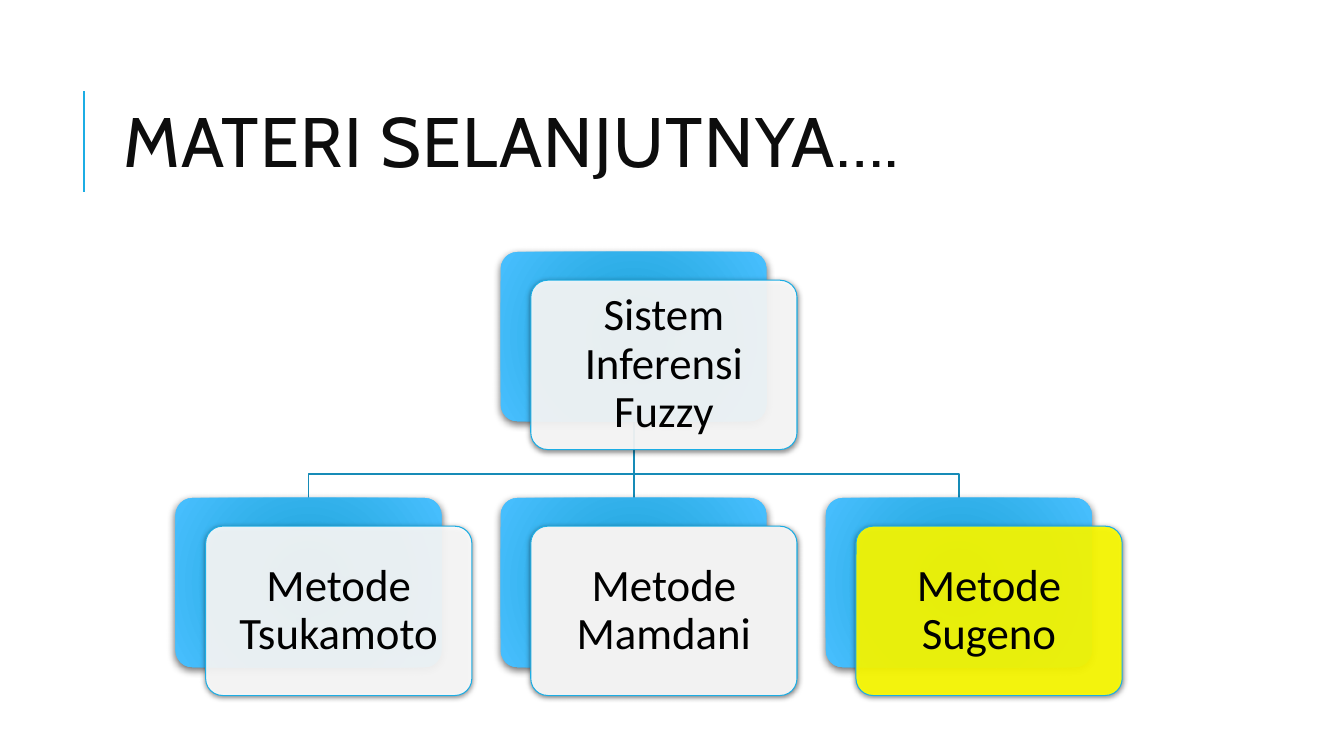
from pptx import Presentation
from pptx import util as u
from pptx.dml.color import RGBColor
from pptx.enum import shapes, text
from pptx.oxml import parse_xml
from pptx.oxml.ns import nsdecls, qn

COLOURS = {
    "accent": "1CADE4", "tree": "168BB7", "title": "0D0D0D", "text": "000000",
    "plain": "FFFFFF", "grey": "F2F2F2", "highlight": "FFFF00",
    "centre": "1AA1D4", "rim": "48BFFF", "shadow": "000000",
}
BOX_WIDTH, BOX_HEIGHT = 2.64, 1.68
CARD_SHIFT_X, CARD_SHIFT_Y = 0.3, 0.28
FIRST_LEFT, LAST_LEFT = 1.74, 8.19
ROOT_TOP, METHOD_TOP, BRANCH_Y = 2.5, 4.94, 4.7
METHODS = [
    ("Metode Tsukamoto", "plain", 90),
    ("Metode Mamdani", "grey", 100),
    ("Metode Sugeno", "highlight", 90),
]


def colour(name):
    return RGBColor.from_string(COLOURS[name])


def apply_format(target, values):
    for name, value in values.items():
        setattr(target, name, value)


def style_line(shape, name, width):
    shape.line.color.rgb = colour(name)
    shape.line.width = u.Pt(width)


def clear_effects(connector):
    connector.element.spPr.append(parse_xml(f"<a:effectLst {nsdecls('a')}/>"))


def add_shadow(shape, opacity, blur, distance):
    """Give the shape a soft shadow straight below it; lengths in points."""
    shape.shadow.inherit = False
    shape.element.spPr.find(qn("a:effectLst")).append(parse_xml(
        f'<a:outerShdw {nsdecls("a")} blurRad="{u.Pt(blur)}" dist="{u.Pt(distance)}" '
        f'dir="5400000" algn="ctr" rotWithShape="0"><a:srgbClr val="{COLOURS["shadow"]}">'
        f'<a:alpha val="{opacity * 1000}"/></a:srgbClr></a:outerShdw>'))


def fill_radial(shape):
    shape.element.spPr.find(qn("a:prstGeom")).addnext(parse_xml(
        f'<a:gradFill {nsdecls("a")} rotWithShape="1"><a:gsLst>'
        f'<a:gs pos="0"><a:srgbClr val="{COLOURS["centre"]}"/></a:gs>'
        f'<a:gs pos="100000"><a:srgbClr val="{COLOURS["rim"]}"/></a:gs></a:gsLst>'
        '<a:path path="circle"><a:fillToRect l="100000" t="100000" r="100000" b="100000"/>'
        '</a:path></a:gradFill>'))


def fill_solid(shape, name, opacity):
    shape.fill.solid()
    shape.fill.fore_color.rgb = colour(name)
    if opacity < 100:
        tint = shape.element.spPr.find(qn("a:solidFill"))[0]
        tint.append(parse_xml(f'<a:alpha {nsdecls("a")} val="{opacity * 1000}"/>'))


def add_rounded_box(page, left, top):
    box = page.shapes.add_shape(
        shapes.MSO_SHAPE.ROUNDED_RECTANGLE, u.Inches(left), u.Inches(top),
        u.Inches(BOX_WIDTH), u.Inches(BOX_HEIGHT))
    box.adjustments[0] = 0.1
    return box


def add_node(page, left, top, label, fill, opacity):
    """Draw a blue box with a labelled card in front; return the blue box."""
    back = add_rounded_box(page, left, top)
    back.line.fill.background()
    fill_radial(back)
    add_shadow(back, 60, 6, 2)

    card = add_rounded_box(page, left + CARD_SHIFT_X, top + CARD_SHIFT_Y)
    fill_solid(card, fill, opacity)
    style_line(card, "accent", 0.75)
    add_shadow(card, 50, 4, 1)
    frame = card.text_frame
    apply_format(frame, {"word_wrap": True, "vertical_anchor": text.MSO_ANCHOR.MIDDLE})
    apply_format(frame, dict.fromkeys(
        ("margin_left", "margin_top", "margin_right", "margin_bottom"), u.Inches(0.13)))
    para = frame.paragraphs[0]
    para.text = label
    apply_format(para, {"alignment": text.PP_ALIGN.CENTER, "line_spacing": 0.9})
    apply_format(para.font, {"size": u.Pt(32), "name": "Calibri"})
    para.font.color.rgb = colour("text")
    return back


def add_branch(page, root, method):
    """Link the root to a method, behind all boxes."""
    start_x, start_y = root.left + root.width // 2, root.top + root.height
    end_x = method.left + method.width // 2
    if start_x == end_x:
        branch = page.shapes.add_connector(
            shapes.MSO_CONNECTOR.STRAIGHT, start_x, start_y, end_x, method.top)
        branch.begin_connect(root, 2)
        branch.end_connect(method, 0)
        clear_effects(branch)
    else:
        bend = u.Inches(BRANCH_Y)
        builder = page.shapes.build_freeform(start_x, start_y)
        builder.add_line_segments(
            [(start_x, bend), (end_x, bend), (end_x, method.top)], close=False)
        branch = builder.convert_to_shape()
        branch.fill.background()
        branch.shadow.inherit = False
    style_line(branch, "tree", 1.25)
    page.shapes.title.element.addnext(branch.element)


def add_title(page, wording):
    title = page.shapes.title
    apply_format(title, {"left": u.Inches(1.12), "top": u.Inches(0.64),
                         "width": u.Inches(10.63), "height": u.Inches(1.64)})
    frame = title.text_frame
    apply_format(frame, {"word_wrap": True, "auto_size": text.MSO_AUTO_SIZE.NONE,
                         "vertical_anchor": text.MSO_ANCHOR.MIDDLE})
    para = frame.paragraphs[0]
    apply_format(para, {"alignment": text.PP_ALIGN.LEFT, "line_spacing": 0.8})
    span = para.add_run()
    span.text = wording
    apply_format(span.font, {"size": u.Pt(50), "name": "Cabin"})
    span.font.color.rgb = colour("title")
    span.font._element.set("spc", "100")


def add_title_rule(page):
    rule = page.shapes.add_connector(
        shapes.MSO_CONNECTOR.STRAIGHT,
        u.Inches(0.83), u.Inches(1.9), u.Inches(0.83), u.Inches(0.9))
    style_line(rule, "accent", 1.5)
    clear_effects(rule)


def main():
    deck = Presentation()
    apply_format(deck, {"slide_width": u.Inches(13.33), "slide_height": u.Inches(7.5)})
    page = deck.slides.add_slide(deck.slide_layouts[5])
    add_title(page, "MATERI SELANJUTNYA….")
    add_title_rule(page)

    step = (LAST_LEFT - FIRST_LEFT) / (len(METHODS) - 1)
    root = add_node(page, FIRST_LEFT + step, ROOT_TOP, "Sistem Inferensi Fuzzy", "plain", 90)
    for index, (label, fill, opacity) in enumerate(METHODS):
        method = add_node(page, FIRST_LEFT + index * step, METHOD_TOP, label, fill, opacity)
        add_branch(page, root, method)
    deck.save("out.pptx")


if __name__ == "__main__":
    main()
